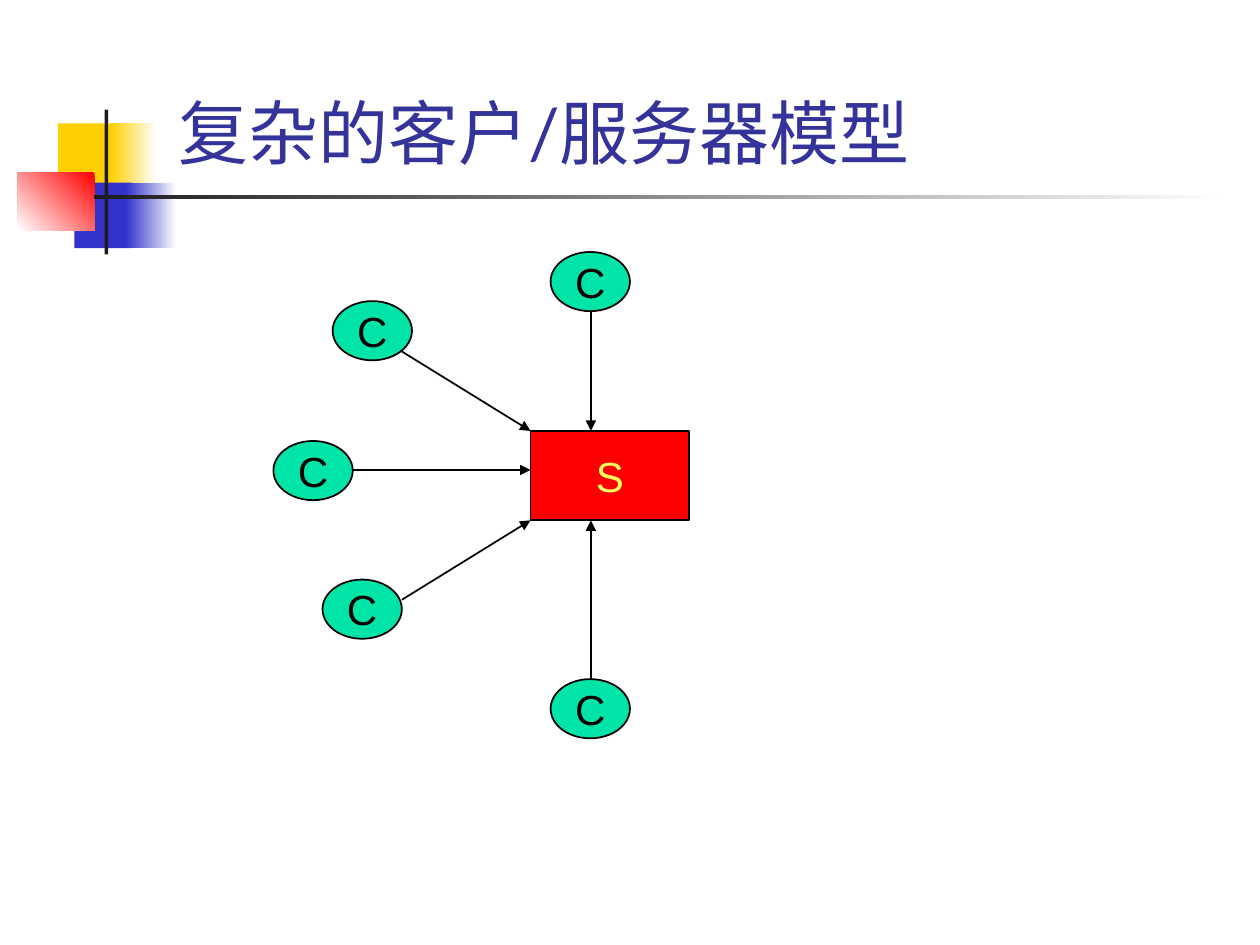
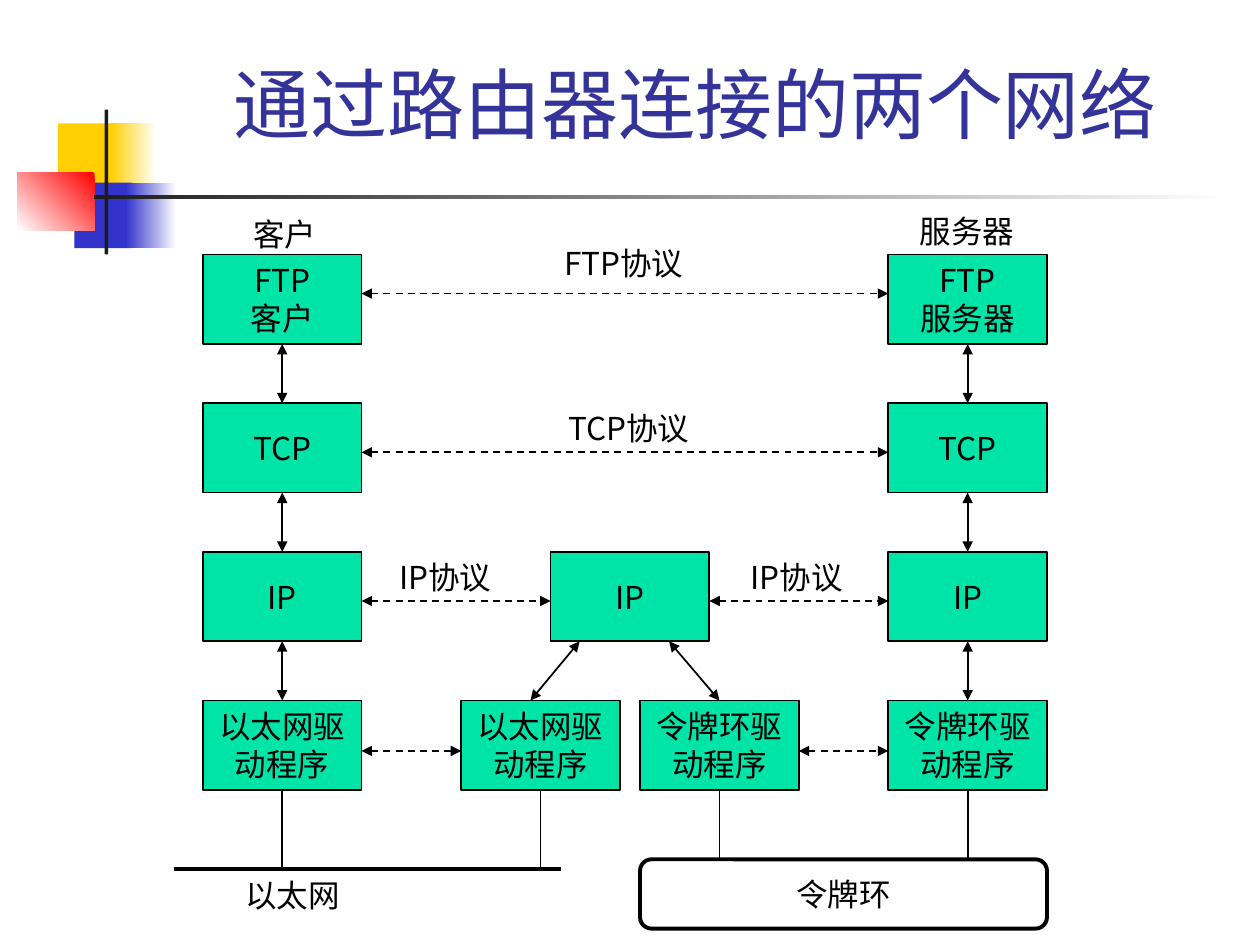
from lxml import etree
from pptx import Presentation
from pptx.dml.color import RGBColor
from pptx.enum.dml import MSO_LINE
from pptx.enum.shapes import MSO_CONNECTOR, MSO_SHAPE
from pptx.enum.text import MSO_ANCHOR, MSO_AUTO_SIZE, PP_ALIGN
from pptx.oxml.ns import qn
from pptx.util import Inches, Pt

RECT, OVAL, ROUNDED = MSO_SHAPE.RECTANGLE, MSO_SHAPE.OVAL, MSO_SHAPE.ROUNDED_RECTANGLE
STRAIGHT = MSO_CONNECTOR.STRAIGHT
DASH = MSO_LINE.DASH
LEFT, CENTER = PP_ALIGN.LEFT, PP_ALIGN.CENTER
TOP, MIDDLE, BOTTOM = MSO_ANCHOR.TOP, MSO_ANCHOR.MIDDLE, MSO_ANCHOR.BOTTOM
FIT_TEXT = MSO_AUTO_SIZE.SHAPE_TO_FIT_TEXT

WHITE = RGBColor(0xFF, 0xFF, 0xFF)
BLACK = RGBColor(0x00, 0x00, 0x00)
INK = RGBColor(0x1C, 0x1C, 0x1C)
GOLD = RGBColor(0xFF, 0xCF, 0x01)
BLUE = RGBColor(0x33, 0x33, 0xCC)
RED = RGBColor(0xFF, 0x00, 0x00)
GREEN = RGBColor(0x00, 0xE4, 0xA8)
YELLOW = RGBColor(0xFE, 0xFF, 0x5E)
TITLE_BLUE = RGBColor(0x33, 0x33, 0x99)

TITLE_FONT, LATIN, CJK = "Lato", "Arial", "Noto Sans CJK JP"

MOTIF = [
    ((0.46, 0.98, 0.48, 0.52), (GOLD,), 0),
    ((0.88, 0.98, 0.36, 0.52), (WHITE, GOLD), 180),
    ((0.59, 1.45, 0.46, 0.52), (BLUE,), 0),
    ((1, 1.45, 0.4, 0.52), (WHITE, BLUE), 180),
    ((0.14, 1.37, 0.61, 0.46), (RED, WHITE), 225),
    ((0.83, 0.87, 0.03, 1.15), (INK,), 0),
    ((0.75, 1.55, 9, 0.03), (WHITE, INK), 180),
]

CLIENT_SERVER_TITLE = "复杂的客户/服务器模型"
SERVER = (4.21, 3.42, 1.26, 0.71)
CLIENT_SIZE = (0.63, 0.47)
CLIENTS = [
    ((2.17, 3.5), (2.8, 3.73), (4.21, 3.73)),
    ((2.64, 2.39), (3.19, 2.79), (4.21, 3.42)),
    ((4.37, 2), (4.69, 2.47), (4.69, 3.42)),
    ((2.56, 4.6), (3.19, 4.76), (4.21, 4.13)),
    ((4.37, 5.39), (4.69, 5.39), (4.69, 4.13)),
]

ROUTER_TITLE = "通过路由器连接的两个网络"
BOX_W, BOX_H = 1.26, 0.71
ROW_TOP, ROW_STEP = 2.02, 1.18
ETHERNET_DRIVER, RING_DRIVER = "以太网驱\n动程序", "令牌环驱\n动程序"
STACKS = [
    (1.61, ["FTP\n客户", "TCP", "IP", ETHERNET_DRIVER]),
    (7.05, ["FTP\n服务器", "TCP", "IP", RING_DRIVER]),
]
ROUTER = [(4.37, 2, "IP"), (3.66, 3, ETHERNET_DRIVER), (5.08, 3, RING_DRIVER)]
ROUTER_LINKS = [((4.6, 5.09), (4.21, 5.56)), ((5.31, 5.09), (5.71, 5.56))]
PEER_LINKS = [
    (2.33, 2.87, 7.05), (3.59, 2.87, 7.05),
    (4.77, 2.87, 4.37), (4.77, 5.63, 7.05),
    (5.96, 2.87, 3.66), (5.96, 6.34, 7.05),
]
ETHERNET_Y, RING_Y = 6.9, 6.82
NETWORK_DROPS = [(2.24, ETHERNET_Y), (4.29, ETHERNET_Y), (5.71, RING_Y), (7.68, RING_Y)]
LABELS = [
    ("FTP协议", 4.38, 1.89, 1.25, CJK), ("TCP协议", 4.41, 3.2, 1.25, CJK),
    ("IP协议", 3.07, 4.38, 1.02, CJK), ("IP协议", 5.86, 4.38, 1.02, CJK),
    ("以太网", 1.85, 6.9, 0.97, CJK),
    ("客户", 1.91, 1.66, 0.72, LATIN), ("服务器", 7.2, 1.63, 0.97, LATIN),
]

TAIL = ("a:tailEnd",)
BOTH = ("a:headEnd", "a:tailEnd")


def inches(values):
    return [Inches(v) for v in values]


def write(s, text, size, font, color=BLACK, align=CENTER, anchor=MIDDLE, wrap=False):
    tf = s.text_frame
    tf.text = text
    tf.word_wrap = wrap
    tf.vertical_anchor = anchor
    for p in tf.paragraphs:
        p.alignment = align
        for r in p.runs:
            r.font.size, r.font.name = Pt(size), font
            r.font.color.rgb = color
            ea = etree.Element(qn("a:ea"), typeface=CJK)
            r.font._element.find(qn("a:latin")).addnext(ea)
    return tf


def add_shape(slide, kind, at, fill=None, line=None):
    s = slide.shapes.add_shape(kind, *inches(at))
    s.shadow.inherit = False
    if fill is None:
        s.fill.background()
    else:
        s.fill.solid()
        s.fill.fore_color.rgb = fill
    if line is None:
        s.line.fill.background()
    else:
        s.line.color.rgb, s.line.width = BLACK, Pt(line)
    return s


def add_line(slide, start, end, arrows=(), width=1, dash=None):
    c = slide.shapes.add_connector(STRAIGHT, *inches(start + end))
    c.line.color.rgb, c.line.width = BLACK, Pt(width)
    if dash:
        c.line.dash_style = dash
    ln = c.line._get_or_add_ln()
    for tag in arrows:
        etree.SubElement(ln, qn(tag), type="triangle")
    etree.SubElement(c._element.spPr, qn("a:effectLst"))


def add_text(slide, at, *args, **style):
    return write(slide.shapes.add_textbox(*inches(at)), *args, **style)


def add_slide(prs):
    slide = prs.slides.add_slide(prs.slide_layouts[6])
    for at, colors, angle in MOTIF:
        s = add_shape(slide, RECT, at, colors[0])
        if len(colors) > 1:
            s.fill.gradient()
            s.fill.gradient_angle = angle
            for stop, color in zip(s.fill.gradient_stops, colors):
                stop.color.rgb = color
    return slide


def build_client_server(prs):
    slide = add_slide(prs)
    tf = add_text(slide, (1.32, 0.79, 6.36, 0.68), CLIENT_SERVER_TITLE, 40,
                  TITLE_FONT, TITLE_BLUE, LEFT, TOP, True)
    tf.paragraphs[0].line_spacing = 0.8
    tf.paragraphs[0].space_before = Pt(10)
    write(add_shape(slide, RECT, SERVER, RED, 1), "S", 24, LATIN, YELLOW)
    for corner, start, end in CLIENTS:
        write(add_shape(slide, OVAL, corner + CLIENT_SIZE, GREEN, 1), "C", 24, LATIN)
        add_line(slide, start, end, TAIL)


def add_layer(slide, left, row, text):
    at = (left, ROW_TOP + row * ROW_STEP, BOX_W, BOX_H)
    write(add_shape(slide, RECT, at, GREEN, 1), text, 18, CJK)


def build_router(prs):
    slide = add_slide(prs)
    add_text(slide, (1.26, 0.23, 8.52, 1), ROUTER_TITLE, 44, TITLE_FONT, TITLE_BLUE,
             anchor=BOTTOM, wrap=True)
    for left, layers in STACKS:
        middle = left + BOX_W / 2
        for row, text in enumerate(layers):
            add_layer(slide, left, row, text)
            if row:
                y = ROW_TOP + row * ROW_STEP
                add_line(slide, (middle, y - ROW_STEP + BOX_H), (middle, y), BOTH)
    for layer in ROUTER:
        add_layer(slide, *layer)
    for start, end in ROUTER_LINKS:
        add_line(slide, start, end, BOTH)
    for y, x1, x2 in PEER_LINKS:
        add_line(slide, (x1, y), (x2, y), BOTH, dash=DASH)

    add_line(slide, (1.38, ETHERNET_Y), (4.45, ETHERNET_Y), width=2.25)
    ring = add_shape(slide, ROUNDED, (5.08, RING_Y, 3.23, 0.55), line=2.25)
    write(ring, "令牌环", 18, LATIN)
    drop_top = ROW_TOP + 3 * ROW_STEP + BOX_H
    for x, y in NETWORK_DROPS:
        add_line(slide, (x, drop_top), (x, y))
    for text, x, y, w, font in LABELS:
        tf = add_text(slide, (x, y, w, 0.4), text, 18, font, align=LEFT, anchor=TOP)
        tf.auto_size = FIT_TEXT


def main():
    prs = Presentation()
    prs.slide_width, prs.slide_height = Inches(10), Inches(7.5)
    build_client_server(prs)
    build_router(prs)
    prs.save("out.pptx")


if __name__ == "__main__":
    main()
